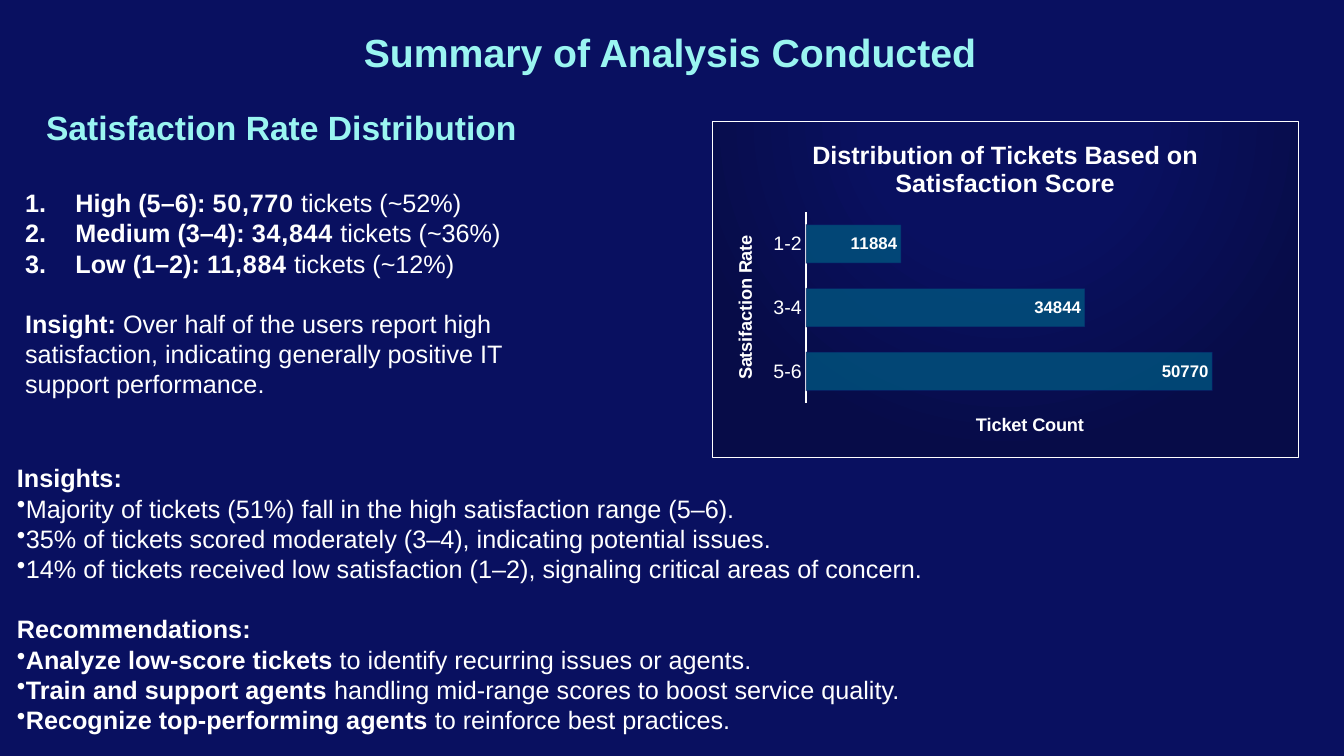
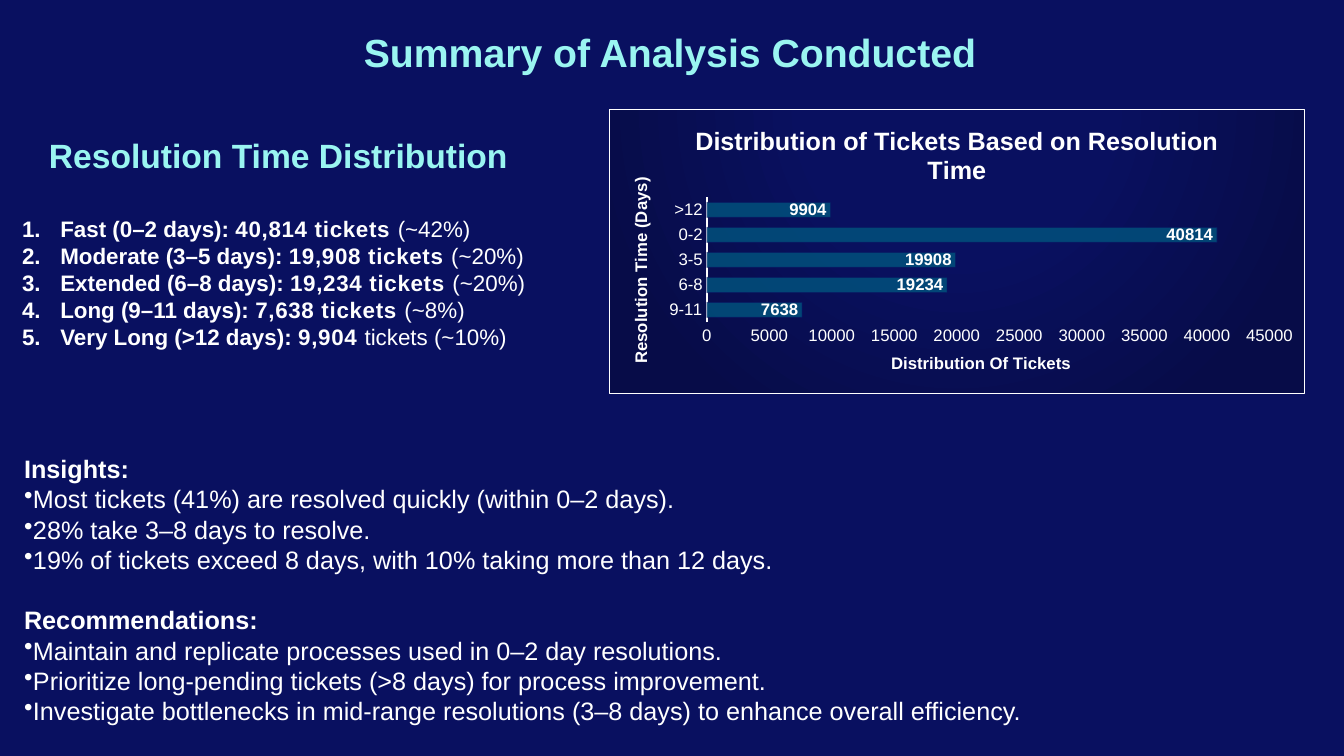
from dataclasses import dataclass

import lxml.etree
import pptx
import pptx.chart.data
import pptx.dml.color
import pptx.enum.chart
import pptx.enum.text
import pptx.oxml
import pptx.oxml.ns
import pptx.util

Inches = pptx.util.Inches
Pt = pptx.util.Pt
RGB = pptx.dml.color.RGBColor.from_string
qn = pptx.oxml.ns.qn
ALIGN = pptx.enum.text.PP_ALIGN


# Colours and type sizes
@dataclass(frozen=True)
class Theme:
    font: str = "Arial"
    back: str = "091060"
    dark: str = "070C48"
    aqua: str = "9AF5F1"
    teal: str = "15D2CB"
    white: str = "FFFFFF"
    pale: str = "FEFEFE"
    blue: str = "01507C"
    title: int = 28
    head: int = 24
    body: int = 18
    small: int = 12
    lead: float = 1.2


THEME = Theme()


# Content types
@dataclass(frozen=True)
class Item:
    label: str
    count: str
    rest: str


@dataclass(frozen=True)
class Rates:
    box: tuple
    head: str
    items: list
    size: int
    indent: float
    note: tuple = ()


@dataclass(frozen=True)
class Graph:
    box: tuple
    plot: tuple
    title: str
    cat: str
    val: str
    data: dict
    top: int
    step: int
    size: int
    label: int
    scale: bool


@dataclass(frozen=True)
class Notes:
    box: tuple
    groups: dict


@dataclass(frozen=True)
class Page:
    rates: Rates
    graph: Graph
    notes: Notes


# Text helpers
def write(par, text: str, *, size: float = THEME.body, color: str = THEME.white,
          bold: bool = False, gap: float = 0, edge: tuple = ()) -> None:
    run = par.add_run()
    run.text = text
    font = run.font
    font.name, font.size, font.bold = THEME.font, Pt(size), bold
    font.color.rgb = RGB(color)
    props = run._r.get_or_add_rPr()
    if gap:
        props.set("spc", str(round(gap * 100)))
    if edge:
        tint, width = edge
        line = lxml.etree.Element(qn("a:ln"), w=str(Pt(width)))
        fill = lxml.etree.SubElement(line, qn("a:solidFill"))
        lxml.etree.SubElement(fill, qn("a:srgbClr"), val=tint)
        props.insert(0, line)


def mark(par, tag: str, indent: float = 0, **attrs: str) -> None:
    props = par._p.get_or_add_pPr()
    props.set("marL", str(Inches(indent)))
    props.set("indent", str(-Inches(indent)))
    lxml.etree.SubElement(props, qn(tag), **attrs)


def add_par(frame, size: float, before: float = 0):
    first = frame.paragraphs[0]
    par = first if not first.runs else frame.add_paragraph()
    par.line_spacing = Pt(size * THEME.lead)
    par.space_before = Pt(before)
    return par


def add_box(slide, box: tuple):
    frame = slide.shapes.add_textbox(*map(Inches, box)).text_frame
    frame.word_wrap = True
    frame.auto_size = pptx.enum.text.MSO_AUTO_SIZE.SHAPE_TO_FIT_TEXT
    return frame


# Slide parts
def add_title(slide) -> None:
    shape = slide.shapes.title
    shape.left, shape.top, shape.width, shape.height = map(
        Inches, (3.35, 0.13, 6.46, 0.76))
    frame = shape.text_frame
    frame.margin_left = frame.margin_right = Inches(0.13)
    frame.margin_top = frame.margin_bottom = Inches(0.13)
    frame.auto_size = pptx.enum.text.MSO_AUTO_SIZE.NONE
    frame.vertical_anchor = pptx.enum.text.MSO_ANCHOR.MIDDLE
    par = frame.paragraphs[0]
    par.alignment = ALIGN.RIGHT
    write(par, "Summary of Analysis Conducted", size=THEME.title,
          color=THEME.aqua, bold=True, edge=(THEME.teal, 1.75))


def add_rates(slide, rates: Rates) -> None:
    frame = add_box(slide, rates.box)
    par = add_par(frame, THEME.head)
    par.alignment = ALIGN.CENTER
    par.space_after = Pt(THEME.head * THEME.lead)
    write(par, rates.head, size=THEME.head, color=THEME.aqua, bold=True,
          edge=(THEME.teal, 1.75))
    for item in rates.items:
        par = add_par(frame, rates.size)
        mark(par, "a:buAutoNum", rates.indent, type="arabicPeriod")
        write(par, item.label, size=rates.size, bold=True)
        write(par, item.count, size=rates.size, color=THEME.pale, bold=True,
              gap=0.5, edge=(THEME.blue, 0.75))
        write(par, item.rest, size=rates.size)
    if rates.note:
        par = add_par(frame, rates.size, rates.size * THEME.lead)
        write(par, rates.note[0], size=rates.size, bold=True)
        write(par, rates.note[1], size=rates.size)


def add_notes(slide, notes: Notes) -> None:
    frame = add_box(slide, notes.box)
    for i, (head, lines) in enumerate(notes.groups.items()):
        before = THEME.body * THEME.lead if i else 0
        write(add_par(frame, THEME.body, before), head, bold=True)
        for strong, plain in lines:
            par = add_par(frame, THEME.body)
            mark(par, "a:buChar", char="•")
            if strong:
                write(par, strong, bold=True)
            write(par, plain)


def name_axis(axis, text: str, size: float, turn: int = 0) -> None:
    title = axis.axis_title
    write(title.text_frame.paragraphs[0], text, size=size, bold=True)
    body = title.element.xpath(".//a:bodyPr")[0]
    body.set("rot", str(turn * 60000))
    body.set("vert", "horz")


def paint(chart) -> None:
    """Gradient ground and thin frame."""
    stops = "".join(
        f'<a:gs pos="{pos * 1000}"><a:srgbClr val="{tint}"/></a:gs>'
        for pos, tint in ((0, THEME.back), (39, THEME.back), (100, THEME.dark)))
    ground = pptx.oxml.parse_xml(
        f'<c:spPr {pptx.oxml.ns.nsdecls("c", "a")}><a:gradFill><a:gsLst>{stops}'
        '</a:gsLst><a:path path="circle"><a:fillToRect l="50000" t="-80000" '
        'r="50000" b="180000"/></a:path></a:gradFill>'
        f'<a:ln w="{Pt(0.75)}"><a:solidFill><a:srgbClr val="{THEME.white}"/>'
        '</a:solidFill></a:ln></c:spPr>')
    chart.element.find(qn("c:chart")).addnext(ground)


def place(chart, plot: tuple) -> None:
    """Fix the inner plot area as shares of the chart."""
    area = chart.element.xpath("c:chart/c:plotArea")[0]
    for old in area.findall(qn("c:layout")):
        area.remove(old)
    sides = "".join(f'<c:{key} val="{val}"/>' for key, val in zip("xywh", plot))
    area.insert(0, pptx.oxml.parse_xml(
        f'<c:layout {pptx.oxml.ns.nsdecls("c")}><c:manualLayout>'
        '<c:layoutTarget val="inner"/><c:xMode val="edge"/><c:yMode val="edge"/>'
        f'{sides}</c:manualLayout></c:layout>'))


def add_graph(slide, graph: Graph) -> None:
    enum = pptx.enum.chart
    data = pptx.chart.data.CategoryChartData()
    data.categories = list(graph.data)
    data.add_series("Series 1", list(graph.data.values()))
    chart = slide.shapes.add_chart(
        enum.XL_CHART_TYPE.BAR_CLUSTERED, *map(Inches, graph.box), data).chart
    chart.has_legend = False
    chart.font.name, chart.font.size = THEME.font, Pt(10)
    chart.font.color.rgb = RGB(THEME.white)
    write(chart.chart_title.text_frame.paragraphs[0], graph.title, bold=True)
    chart.chart_title.include_in_layout = False

    # Axes
    cat, val = chart.category_axis, chart.value_axis
    for axis in (cat, val):
        axis.has_major_gridlines = False
        axis.major_tick_mark = enum.XL_TICK_MARK.NONE
        axis.minor_tick_mark = enum.XL_TICK_MARK.NONE
        font = axis.tick_labels.font
        font.name, font.size = THEME.font, Pt(graph.size)
        font.color.rgb = RGB(THEME.white)
    cat.format.line.color.rgb = RGB(THEME.white)
    cat.format.line.width = Pt(1.5)
    val.format.line.fill.background()
    val.minimum_scale, val.maximum_scale = 0, graph.top
    val.major_unit = graph.step
    val.visible = graph.scale
    name_axis(cat, graph.cat, graph.label, -90)
    name_axis(val, graph.val, graph.label)

    # Bars and labels
    plot = chart.plots[0]
    plot.vary_by_categories = False
    plot.gap_width = 65
    bars = plot.series[0].format
    bars.fill.solid()
    bars.fill.fore_color.rgb = RGB(THEME.blue)
    bars.line.color.rgb = RGB(THEME.back)
    bars.line.width = Pt(0.75)
    tints = chart.element.xpath(".//c:ser/c:spPr//a:srgbClr")
    for tint, alpha in zip(tints, (85, 50)):
        lxml.etree.SubElement(tint, qn("a:alpha"), val=str(alpha * 1000))
    plot.has_data_labels = True
    tags = plot.data_labels
    tags.show_value = True
    tags.position = enum.XL_LABEL_POSITION.INSIDE_END
    tags.font.name, tags.font.size = THEME.font, Pt(THEME.small)
    tags.font.bold = True
    tags.font.color.rgb = RGB(THEME.white)
    place(chart, graph.plot)
    paint(chart)


# Content
PAGES = [
    Page(
        Rates((0.15, 1.01, 5.28, 3.03), "Satisfaction Rate Distribution", [
            Item("High (5–6): ", "50,770", " tickets (~52%)"),
            Item("Medium (3–4): ", "34,844", " tickets (~36%)"),
            Item("Low (1–2): ", "11,884", " tickets (~12%)"),
        ], 18, 0.5, ("Insight:", " Over half of the users report high satisfaction, "
                     "indicating generally positive IT support performance.")),
        Graph((7.06, 1.2, 5.82, 3.34), (0.16, 0.27, 0.82, 0.57),
              "Distribution of Tickets Based on Satisfaction Score",
              "Satsifaction Rate", "Ticket Count",
              {"5-6": 50770, "3-4": 34844, "1-2": 11884},
              60000, 10000, 14, 13, False),
        Notes((0.07, 4.54, 13.18, 2.83), {
            "Insights:": [
                ("", "Majority of tickets (51%) fall in the high satisfaction range (5–6)."),
                ("", "35% of tickets scored moderately (3–4), indicating potential issues."),
                ("", "14% of tickets received low satisfaction (1–2), "
                     "signaling critical areas of concern.")],
            "Recommendations:": [
                ("Analyze low-score tickets", " to identify recurring issues or agents."),
                ("Train and support agents",
                 " handling mid-range scores to boost service quality."),
                ("Recognize top-performing agents", " to reinforce best practices.")]})),
    Page(
        Rates((0.12, 1.29, 5.28, 2.26), "Resolution Time Distribution", [
            Item("Fast (0–2 days): ", "40,814 tickets ", "(~42%)"),
            Item("Moderate (3–5 days): ", "19,908 tickets ", "(~20%)"),
            Item("Extended (6–8 days): ", "19,234 tickets ", "(~20%)"),
            Item("Long (9–11 days): ", "7,638 tickets ", "(~8%)"),
            Item("Very Long (>12 days): ", "9,904 ", "tickets (~10%)"),
        ], 16, 0.38),
        Graph((6.04, 1.08, 6.9, 2.83), (0.14, 0.31, 0.81, 0.44),
              "Distribution of Tickets Based on Resolution Time",
              "Resolution Time (Days)", "Distribution Of Tickets",
              {"9-11": 7638, "6-8": 19234, "3-5": 19908, "0-2": 40814, ">12": 9904},
              45000, 5000, 12, 12, True),
        Notes((0.14, 4.45, 13.08, 2.83), {
            "Insights:": [
                ("", "Most tickets (41%) are resolved quickly (within 0–2 days)."),
                ("", "28% take 3–8 days to resolve."),
                ("", "19% of tickets exceed 8 days, with 10% taking more than 12 days.")],
            "Recommendations:": [
                ("", "Maintain and replicate processes used in 0–2 day resolutions."),
                ("", "Prioritize long-pending tickets (>8 days) for process improvement."),
                ("", "Investigate bottlenecks in mid-range resolutions (3–8 days) "
                     "to enhance overall efficiency.")]})),
]


def main() -> None:
    deck = pptx.Presentation()
    deck.slide_width, deck.slide_height = Inches(13.33), Inches(7.5)
    ground = deck.slide_master.background.fill
    ground.solid()
    ground.fore_color.rgb = RGB(THEME.back)
    for page in PAGES:
        slide = deck.slides.add_slide(deck.slide_layouts[5])
        add_title(slide)
        add_rates(slide, page.rates)
        add_graph(slide, page.graph)
        add_notes(slide, page.notes)
    deck.save("out.pptx")


if __name__ == "__main__":
    main()
